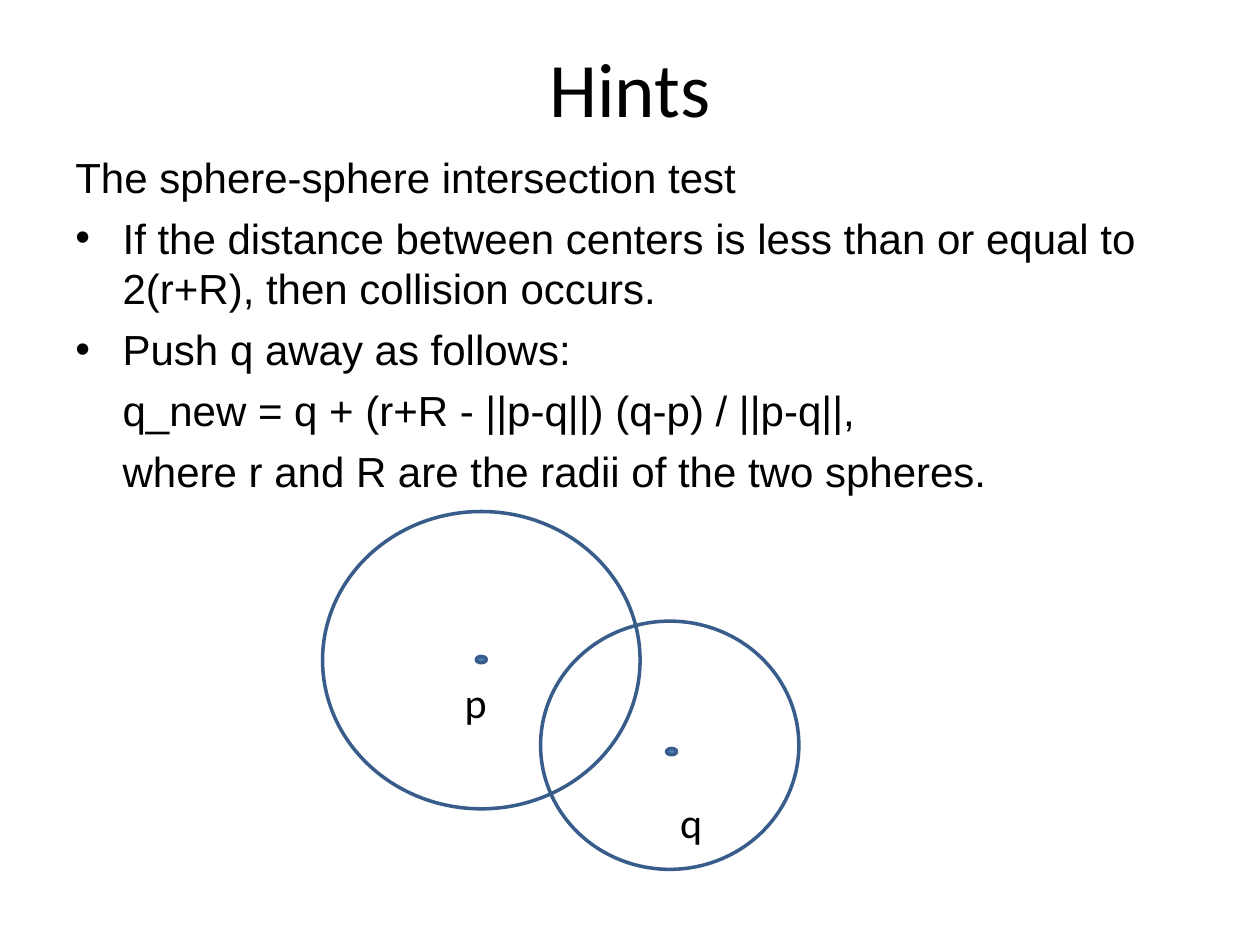
from dataclasses import dataclass
from typing import Optional

from lxml import etree
from pptx import Presentation
from pptx import util as u
from pptx.dml.color import RGBColor
from pptx.enum import shapes, text
from pptx.oxml import ns

# The slide is a grid of square cells, 100 columns by 75 rows.
CELL = 0.1
COLUMNS, ROWS = 100, 75
COLORS = {"text": "000000", "outline": "385D8A", "dot": "4F81BD"}
HANGING = 3.75


@dataclass(frozen=True)
class Area:
    left: float
    top: float
    width: float
    height: float


@dataclass(frozen=True)
class Line:
    words: str
    indent: float = 0
    bullet: bool = False


@dataclass(frozen=True)
class Sphere:
    name: str
    outline: Area
    center: Area
    label: Area


LINES = [
    Line("The sphere-sphere intersection test"),
    Line("If the distance between centers is less than or equal to 2(r+R), "
         "then collision occurs.", HANGING, True),
    Line("Push q away as follows:", HANGING, True),
    Line("q_new = q + (r+R - ||p-q||) (q-p) / ||p-q||,", HANGING),
    Line("where r and R are the radii of the two spheres.", HANGING),
]
SPHERES = [
    Sphere("p", Area(25.6, 40.6, 25.2, 23.6), Area(37.8, 52.1, 0.8, 0.5),
           Area(35.9, 53.2, 3.7, 5)),
    Sphere("q", Area(42.9, 49.3, 20.5, 19.7), Area(52.9, 59.4, 0.8, 0.5),
           Area(53, 62.7, 3.7, 5)),
]


def cells(count: float) -> u.Emu:
    return u.Inches(count * CELL)


def place(area: Area) -> tuple:
    return tuple(cells(n) for n in (area.left, area.top, area.width, area.height))


def color(name: str) -> RGBColor:
    return RGBColor.from_string(COLORS[name])


def set_font(para, face: str, size: float) -> None:
    para.font.name = face
    para.font.size = u.Pt(size)
    para.font.color.rgb = color("text")


def add_label(page, words: str, area: Area, face: str, size: float, wrap: bool = True):
    """Add a one-paragraph text box and return its frame."""
    frame = page.shapes.add_textbox(*place(area)).text_frame
    frame.word_wrap = wrap
    para = frame.paragraphs[0]
    para.text = words
    set_font(para, face, size)
    return frame


def set_indent(para, line: Line) -> None:
    """Set the left margin, and hang a bullet in it if the line has one."""
    props = para._p.get_or_add_pPr()
    props.set("marL", str(cells(line.indent)))
    props.set("indent", str(-cells(line.indent) if line.bullet else 0))
    if line.bullet:
        etree.SubElement(props, ns.qn("a:buFont"), typeface="Arial")
        etree.SubElement(props, ns.qn("a:buChar"), char="•")
    else:
        etree.SubElement(props, ns.qn("a:buNone"))


def add_body(page, lines: list[Line], area: Area) -> None:
    frame = page.shapes.add_textbox(*place(area)).text_frame
    frame.word_wrap = True
    for number, line in enumerate(lines):
        para = frame.add_paragraph() if number else frame.paragraphs[0]
        para.text = line.words
        set_indent(para, line)
        set_font(para, "Arial", 24)
        para.line_spacing = u.Pt(28.8)
        para.space_before = u.Pt(6 if number else 0)


def add_ellipse(page, area: Area, fill: Optional[str] = None) -> None:
    ellipse = page.shapes.add_shape(shapes.MSO_SHAPE.OVAL, *place(area))
    ellipse.shadow.inherit = False
    ellipse.line.color.rgb = color("outline")
    ellipse.line.width = u.Pt(2)
    if fill:
        ellipse.fill.solid()
        ellipse.fill.fore_color.rgb = color(fill)
    else:
        ellipse.fill.background()


def main() -> None:
    deck = Presentation()
    deck.slide_width, deck.slide_height = cells(COLUMNS), cells(ROWS)
    page = deck.slides.add_slide(deck.slide_layouts[6])

    title = add_label(page, "Hints", Area(5, 0.6, 90, 12.5), "Calibri", 44)
    title.vertical_anchor = text.MSO_ANCHOR.MIDDLE
    title.paragraphs[0].alignment = text.PP_ALIGN.CENTER
    add_body(page, LINES, Area(5, 11.5, 90, 49.5))

    for sphere in SPHERES:
        add_ellipse(page, sphere.outline)
    for sphere in SPHERES:
        add_ellipse(page, sphere.center, "dot")
    for sphere in SPHERES:
        add_label(page, sphere.name, sphere.label, "Calibri", 24, wrap=False)

    deck.save("out.pptx")


if __name__ == "__main__":
    main()
